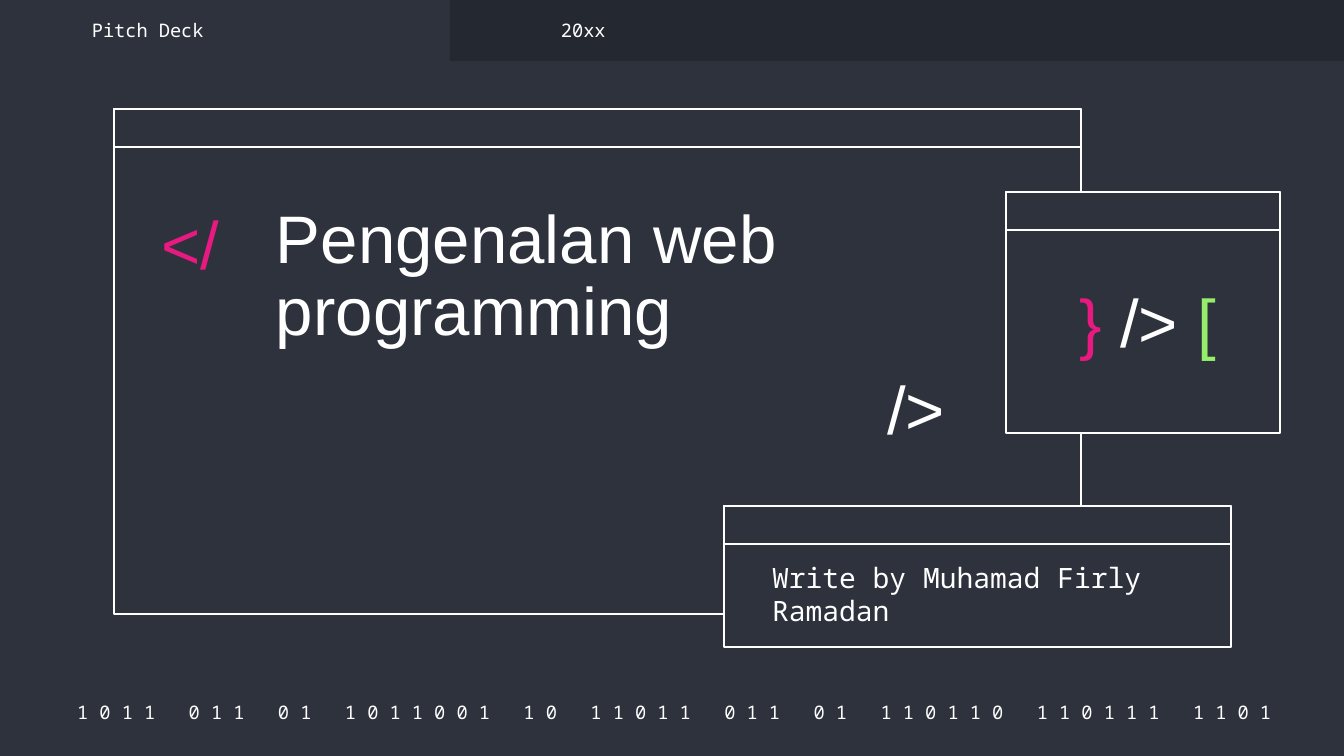
from dataclasses import dataclass
from pptx import Presentation
from pptx.dml.color import RGBColor
from pptx.enum.shapes import MSO_SHAPE as Shape
from pptx.enum.text import MSO_ANCHOR as Anchor, MSO_AUTO_SIZE as AutoSize, PP_ALIGN as Align
from pptx.util import Pt

PX = 914400 / 134.4


@dataclass(frozen=True)
class Theme:
    ground: RGBColor = RGBColor(0x2D, 0x32, 0x3C)
    strip: RGBColor = RGBColor(0x24, 0x28, 0x30)
    white: RGBColor = RGBColor(0xFF, 0xFF, 0xFF)
    pink: RGBColor = RGBColor(0xE8, 0x19, 0x81)
    green: RGBColor = RGBColor(0x94, 0xEE, 0x6B)
    display: str = "Arial"
    mono: str = "Noto Sans Mono"
    large: int = 36
    medium: int = 15
    small: int = 10


theme = Theme()


def add_panel(page, area, fill, line=None):
    panel = page.shapes.add_shape(Shape.RECTANGLE, *(round(n * PX) for n in area))
    panel.shadow.inherit = False
    panel.fill.solid()
    panel.fill.fore_color.rgb = fill
    if line is None:
        panel.line.fill.background()
    else:
        panel.line.color.rgb = line
        panel.line.width = Pt(0.75)


def write_text(box, area, spans, size, font, anchor=Anchor.MIDDLE, align=Align.LEFT):
    box.left, box.top, box.width, box.height = (round(n * PX) for n in area)
    frame = box.text_frame
    frame.word_wrap = True
    frame.auto_size = AutoSize.NONE
    frame.vertical_anchor = anchor
    frame.margin_left = frame.margin_right = round(13 * PX)
    frame.margin_top = frame.margin_bottom = round(13 * PX)
    para = frame.paragraphs[0]
    para.alignment = align
    para.line_spacing = 0.9 if size == theme.large else 1.0
    para.font.size = Pt(size)
    para.font.name = font
    for text, color in spans:
        span = para.add_run()
        span.text = text
        span.font.color.rgb = color


deck = Presentation()
deck.slide_width = round(1344 * PX)
deck.slide_height = round(756 * PX)
page = deck.slides.add_slide(deck.slide_layouts[5])
page.background.fill.solid()
page.background.fill.fore_color.rgb = theme.ground

add_panel(page, (450, 0, 894, 61), theme.strip)

windows = [
    (114, 109, 967, 505),
    (724, 506, 507, 141),
    (1006, 192, 274, 241),
]
for left, top, width, height in windows:
    for panel_height in (height, 38):
        add_panel(page, (left, top, width, panel_height), theme.ground, theme.white)

display_texts = [
    ((148, 203, 103, 89), [("</", theme.pink)], Anchor.MIDDLE, Align.LEFT),
    ((874, 368, 103, 89), [("/>", theme.white)], Anchor.MIDDLE, Align.LEFT),
    ((1058, 276, 179, 110),
     [("}", theme.pink), (" /> ", theme.white), ("[", theme.green)], Anchor.TOP, Align.CENTER),
]
for area, spans, anchor, align in display_texts:
    box = page.shapes.add_textbox(0, 0, 0, 0)
    write_text(box, area, spans, theme.large, theme.display, anchor, align)

title = page.shapes.title
title.element.getparent().append(title.element)
write_text(title, (263, 192, 610, 246), [("Pengenalan web programming", theme.white)],
           theme.large, theme.display, Anchor.TOP)

groups = "1011 011 01 1011001 10 11011 011 01 110110 110111 1101".split()
binary = "   ".join(" ".join(group) for group in groups)
mono_texts = [
    ((759, 555, 448, 78), "Write by Muhamad Firly Ramadan", theme.medium, Align.LEFT),
    ((79, 17, 294, 27), "Pitch Deck", theme.small, Align.LEFT),
    ((548, 17, 294, 27), "20xx", theme.small, Align.LEFT),
    ((51, 699, 1246, 27), binary, theme.small, Align.CENTER),
]
for area, text, size, align in mono_texts:
    box = page.shapes.add_textbox(0, 0, 0, 0)
    write_text(box, area, [(text, theme.white)], size, theme.mono, align=align)

deck.save("out.pptx")
